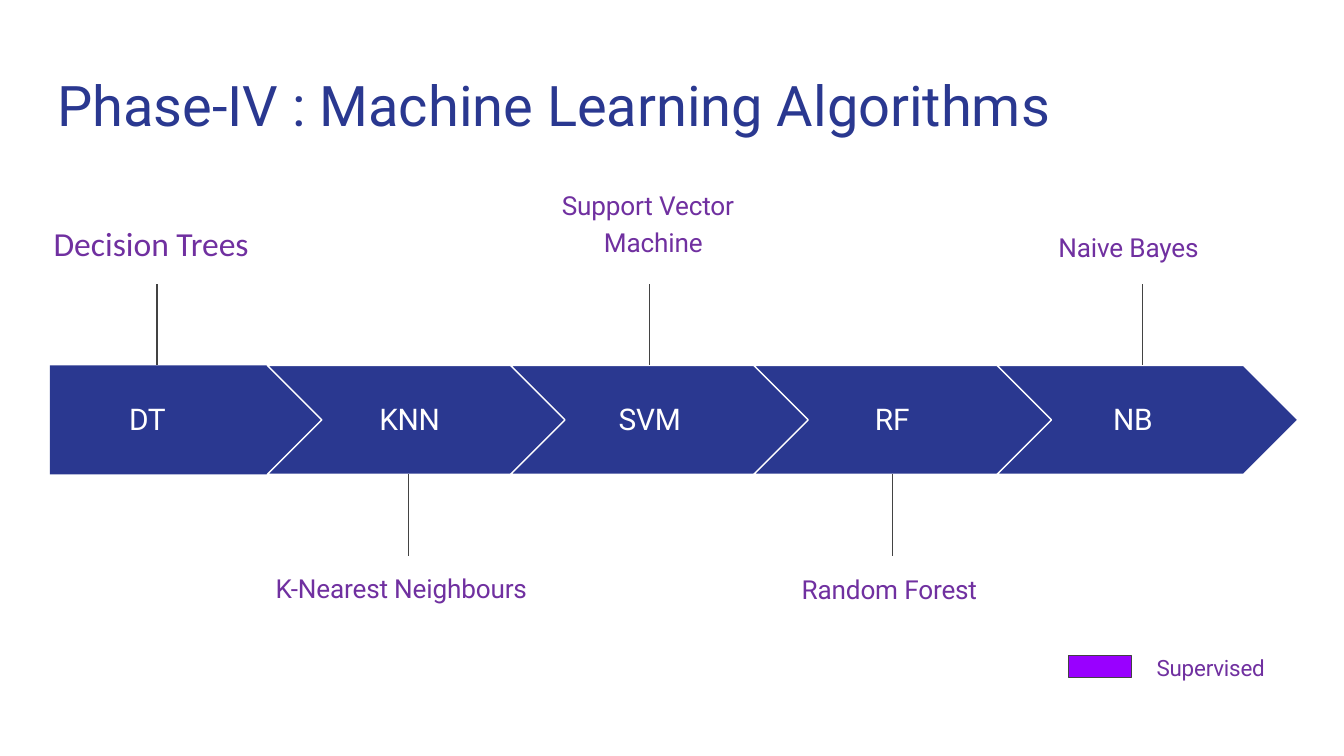
from dataclasses import dataclass

from lxml.etree import SubElement
from pptx import Presentation
from pptx.dml.color import RGBColor
from pptx.enum.shapes import MSO_CONNECTOR, MSO_SHAPE
from pptx.enum.text import MSO_ANCHOR, MSO_AUTO_SIZE, PP_ALIGN
from pptx.oxml.ns import qn
from pptx.util import Pt

TITLE = "Phase-IV : Machine Learning Algorithms"
STAGES = [
    dict(short="DT", short_left=68.4, stem=84.2, name="Decision Trees",
         box=(21.6, 115.9, 126, 28.8),
         fmt=dict(size=18, font="Calibri", inset=(7.2, 3.6), spacing=0)),
    dict(short="KNN", short_left=202.5, stem=219, name="K-Nearest Neighbours",
         box=(147.6, 303.1, 143.3, 18.7), fmt=dict(line=1.16)),
    dict(short="SVM", short_left=330.7, stem=347.8, name="Support Vector Machine",
         box=(301, 97.9, 94.3, 38.9), fmt=dict(line=1.16, hang=22.5)),
    dict(short="RF", short_left=468, stem=478.2, name="Random Forest",
         box=(429.5, 306, 98.6, 18), fmt={}),
    dict(short="NB", short_left=595.6, stem=612, name="Naive Bayes",
         box=(567, 120.2, 94.3, 18.7), fmt=dict(line=1.16)),
]
LEGEND = "Supervised"


@dataclass(frozen=True)
class Theme:
    navy: str = "2A3890"
    purple: str = "7030A0"
    violet: str = "9900FF"
    stem: str = "434343"
    white: str = "FFFFFF"
    font: str = "Roboto"
    title: float = 30
    short: float = 16
    label: float = 14
    legend: float = 12
    rule: float = 0.75


theme = Theme()
BAND_TOP, BAND_HEIGHT = 195.8, 58.4
FIRST_LEFT, FIRST_WIDTH = 26.7, 147.4
CHEVRON_LEFT, CHEVRON_WIDTH, PITCH = 143.2, 161.3, 130.3
STEM_LENGTH = 43.6


def rgb(value):
    return RGBColor.from_string(value)


def write(sp, text, size=theme.label, color=theme.purple, font=theme.font,
          inset=(0, 1), line=None, hang=0, spacing=-0.1):
    tf = sp.text_frame
    tf.word_wrap = True
    tf.auto_size = MSO_AUTO_SIZE.NONE
    tf.vertical_anchor = MSO_ANCHOR.TOP
    tf.margin_left = tf.margin_right = Pt(inset[0])
    tf.margin_top = Pt(inset[1])
    tf.margin_bottom = Pt(0)
    p = tf.paragraphs[0]
    p.alignment = PP_ALIGN.LEFT
    p.space_before = Pt(0)
    if line:
        p.line_spacing = line
    if hang:
        pPr = p._p.get_or_add_pPr()
        pPr.set("marL", str(Pt(hang)))
        pPr.set("indent", str(-Pt(hang)))
    r = p.add_run()
    r.text = text
    r.font.size = Pt(size)
    r.font.name = font
    r.font.color.rgb = rgb(color)
    r._r.get_or_add_rPr().set("spc", str(round(spacing * 100)))


def add_label(s, text, box, **fmt):
    write(s.shapes.add_textbox(*map(Pt, box)), text, **fmt)


def add_block(s, kind, box, fill, outline=None):
    sp = s.shapes.add_shape(kind, *map(Pt, box))
    sp.shadow.inherit = False
    sp.fill.solid()
    sp.fill.fore_color.rgb = rgb(fill)
    if outline:
        sp.line.color.rgb = rgb(outline)
        sp.line.width = Pt(theme.rule)
    else:
        sp.line.fill.background()
    return sp


def add_stem(s, x, start, end):
    stem = s.shapes.add_connector(MSO_CONNECTOR.STRAIGHT, Pt(x), Pt(start), Pt(x), Pt(end))
    stem.line.color.rgb = rgb(theme.stem)
    stem.line.width = Pt(theme.rule)
    SubElement(stem._element.spPr, qn("a:effectLst"))


def add_stage(s, i, stage):
    if i == 0:
        box = FIRST_LEFT, BAND_TOP, FIRST_WIDTH, BAND_HEIGHT
        sp = add_block(s, MSO_SHAPE.PENTAGON, box, theme.navy)
    else:
        box = CHEVRON_LEFT + (i - 1) * PITCH, BAND_TOP, CHEVRON_WIDTH, BAND_HEIGHT
        sp = add_block(s, MSO_SHAPE.CHEVRON, box, theme.navy, theme.white)
    sp.adjustments[0] = 0.5
    add_label(s, stage["short"], (stage["short_left"] + 0.7, 213.8, 46, 20.5),
              size=theme.short, color=theme.white)
    if i % 2 == 0:
        add_stem(s, stage["stem"], BAND_TOP - STEM_LENGTH, BAND_TOP)
    else:
        bottom = BAND_TOP + BAND_HEIGHT
        add_stem(s, stage["stem"], bottom + STEM_LENGTH, bottom)
    add_label(s, stage["name"], stage["box"], **stage["fmt"])


def main():
    prs = Presentation()
    prs.slide_width, prs.slide_height = Pt(720), Pt(405)
    s = prs.slides.add_slide(prs.slide_layouts[5])
    title = s.shapes.title
    title.left, title.top, title.width, title.height = map(Pt, (30.6, 36.7, 545.8, 37.4))
    write(title, TITLE, size=theme.title, color=theme.navy, spacing=0)
    for i, stage in enumerate(STAGES):
        add_stage(s, i, stage)
    add_block(s, MSO_SHAPE.RECTANGLE, (572.4, 351.2, 33.9, 11.9), theme.violet, theme.stem)
    add_label(s, LEGEND, (619.6, 349.2, 75.6, 15.8), size=theme.legend)
    prs.save("out.pptx")


if __name__ == "__main__":
    main()
